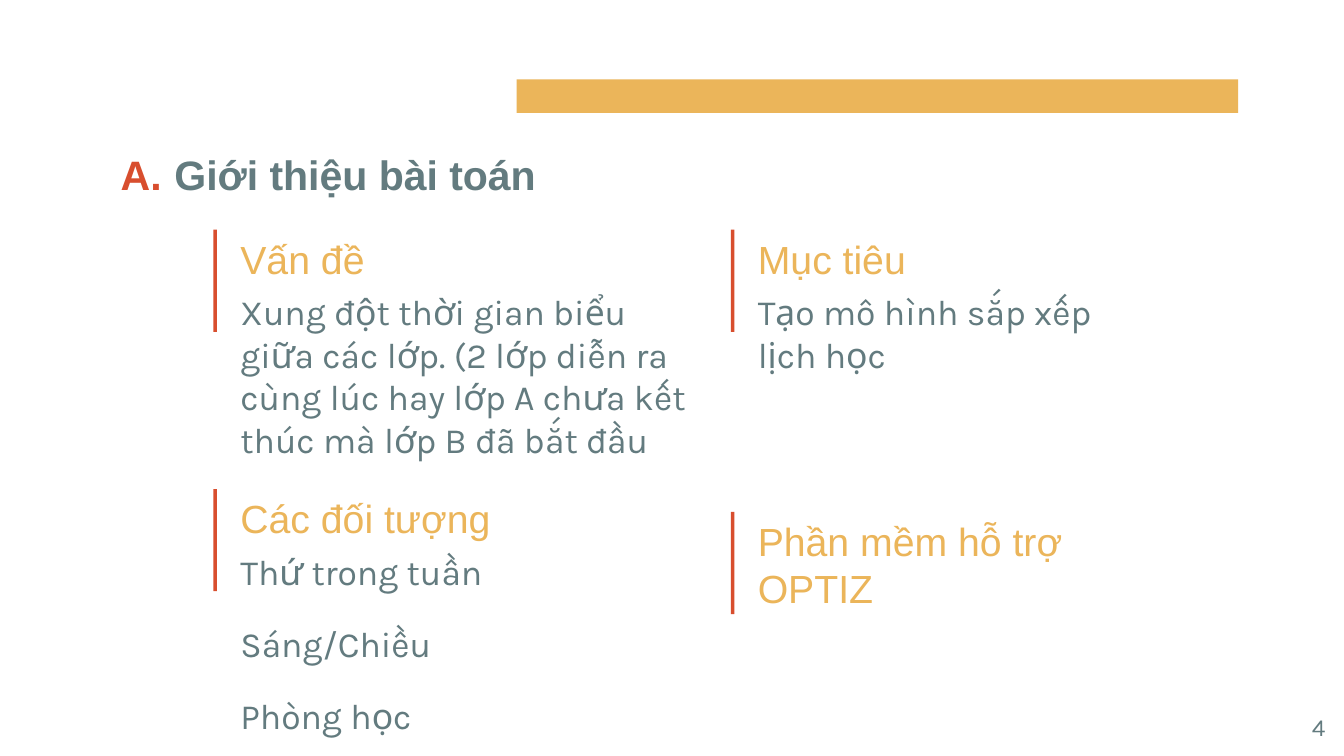
from lxml import etree
from pptx import Presentation
from pptx.dml.color import RGBColor
from pptx.enum.shapes import MSO_SHAPE
from pptx.enum.text import MSO_ANCHOR, PP_ALIGN
from pptx.oxml.ns import qn
from pptx.util import Pt

RECT = MSO_SHAPE.RECTANGLE
TOP, MIDDLE = MSO_ANCHOR.TOP, MSO_ANCHOR.MIDDLE
RIGHT = PP_ALIGN.RIGHT
COLORS = {"gold": "EBB55A", "slate": "637B7F", "red": "D84E2E"}

prs = Presentation()
prs.slide_width, prs.slide_height = Pt(720), Pt(405)
s = prs.slides.add_slide(prs.slide_layouts[6])


def add_bar(x, y, w, h, color):
    sp = s.shapes.add_shape(RECT, Pt(x), Pt(y), Pt(w), Pt(h))
    sp.shadow.inherit = False
    sp.fill.solid()
    sp.fill.fore_color.rgb = RGBColor.from_string(COLORS[color])
    sp.line.fill.background()


def add_text(x, y, w, h, text, size, font, color, anchor=TOP):
    tf = s.shapes.add_textbox(Pt(x), Pt(y), Pt(w), Pt(h)).text_frame
    tf.word_wrap = True
    tf.vertical_anchor = anchor
    tf.margin_left = tf.margin_right = tf.margin_top = tf.margin_bottom = Pt(7.2)
    tf.text = text
    for i, p in enumerate(tf.paragraphs):
        if i:
            p.space_before = Pt(16)
        for r in p.runs:
            r.font.size = Pt(size)
            r.font.name = font
            r.font.color.rgb = RGBColor.from_string(COLORS[color])
    return tf


add_bar(276.8, 42.5, 386.6, 18, "gold")

p = add_text(50.4, 72.7, 247.7, 45.4, "Giới thiệu bài toán", 22, "Arial", "slate").paragraphs[0]
p.runs[0].font.bold = True
pPr = p._p.get_or_add_pPr()
pPr.set("marL", str(Pt(36)))
pPr.set("indent", str(Pt(-28.8)))
color = etree.SubElement(pPr, qn("a:buClr"))
etree.SubElement(color, qn("a:srgbClr"), val=COLORS["red"])
etree.SubElement(pPr, qn("a:buFont"), typeface="Arial")
etree.SubElement(pPr, qn("a:buAutoNum"), type="alphaUcPeriod")

LEFT_X, RIGHT_X = 121.7, 398.9
sections = [
    (LEFT_X, 118.8, 183.6, "Vấn đề", 262.8, 92.2,
     "Xung đột thời gian biểu giữa các lớp. (2 lớp diễn ra cùng lúc hay lớp A chưa kết thúc mà lớp B đã bắt đầu"),
    (LEFT_X, 257.8, 183.6, "Các đối tượng", 166.3, 40.3, "Thứ trong tuần\nSáng/Chiều\nPhòng học"),
    (RIGHT_X, 118.8, 183.6, "Mục tiêu", 200.2, 40.3, "Tạo mô hình sắp xếp lịch học"),
    (RIGHT_X, 270, 206.6, "Phần mềm hỗ trợ OPTIZ", 0, 0, ""),
]
for x, y, head_w, heading, body_w, body_h, body in sections:
    add_text(x, y, head_w, 33.1, heading, 21, "Arial", "gold")
    if body:
        add_text(x, y + 29.5, body_w, body_h, body, 19, "Karla", "slate")
    add_bar(x - 7.4, y + 4.3, 1.9, 54.7, "red")

tf = add_text(673.9, 373.7, 43.2, 31, "4", 13, "Karla", "slate", MIDDLE)
tf.paragraphs[0].alignment = RIGHT

prs.save("out.pptx")
